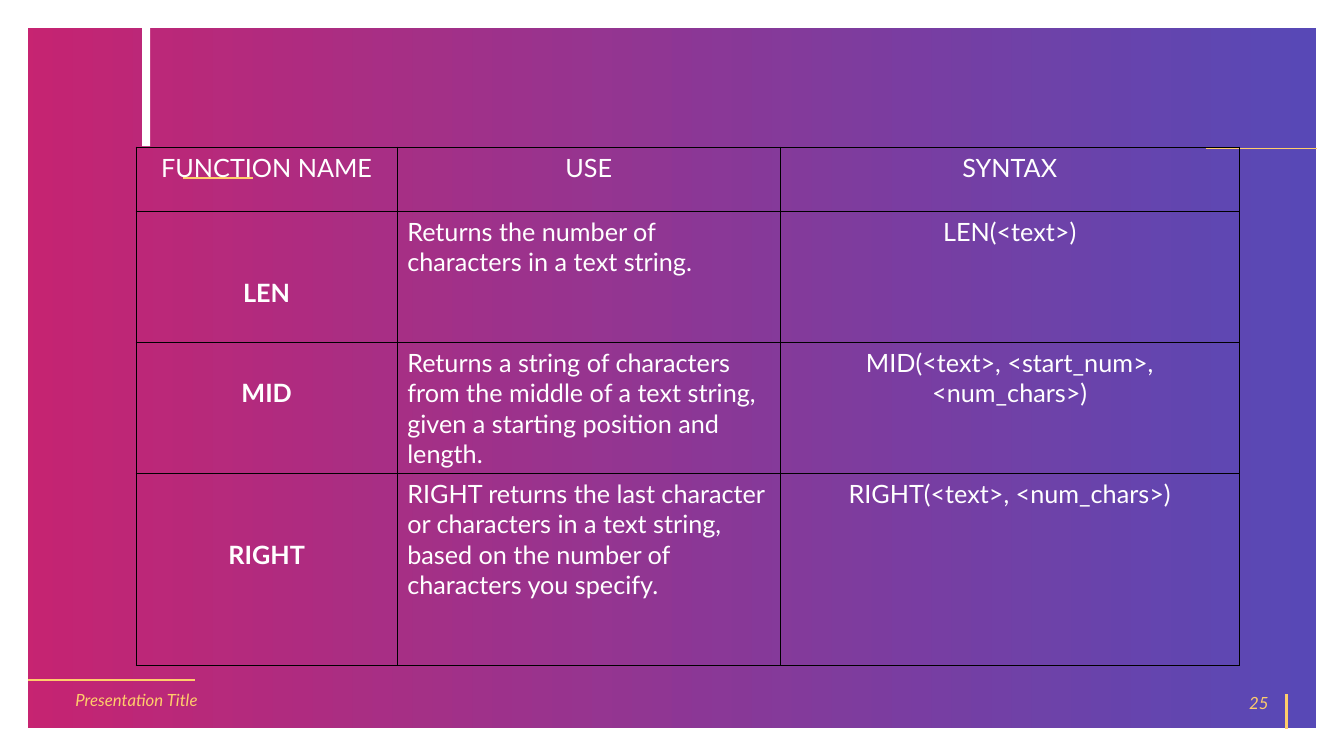
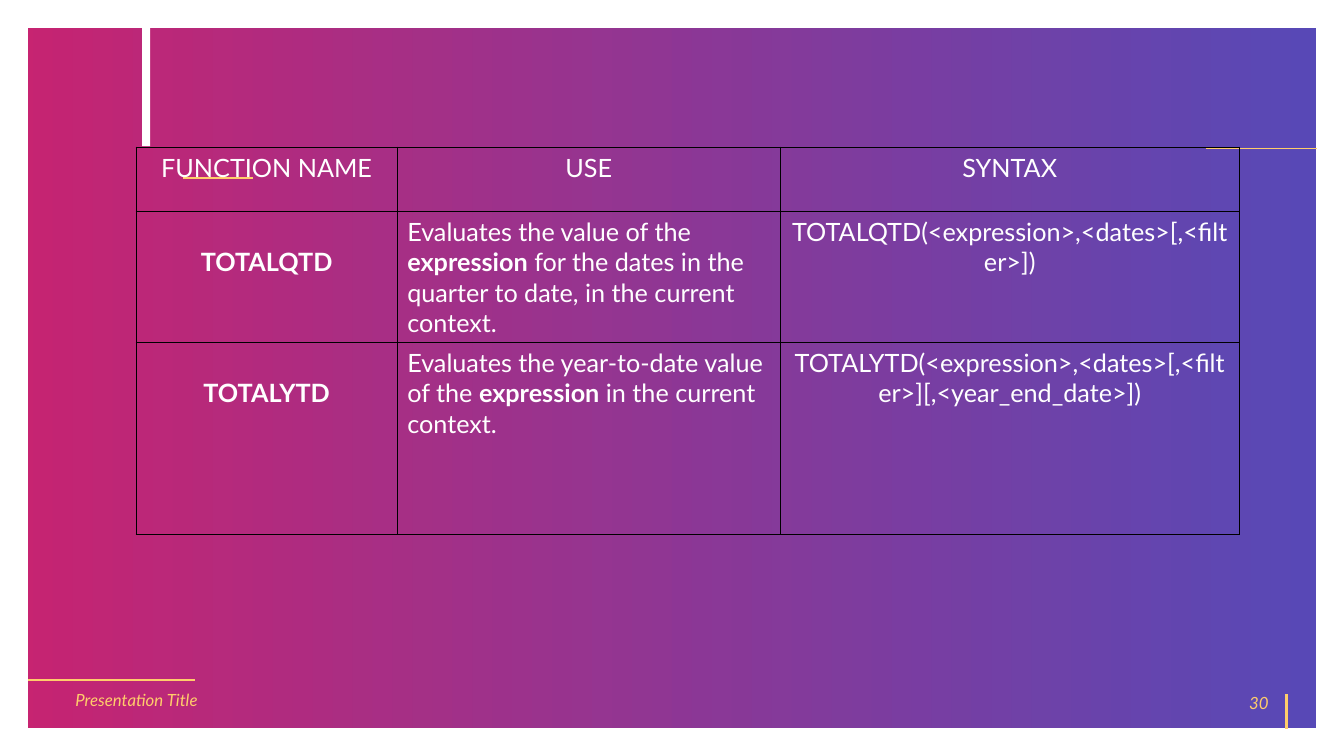
from dataclasses import dataclass
from lxml.etree import SubElement
from pptx import Presentation
from pptx.dml.color import RGBColor
from pptx.enum.shapes import MSO_CONNECTOR, MSO_SHAPE
from pptx.enum.text import MSO_ANCHOR, PP_ALIGN
from pptx.oxml import parse_xml
from pptx.oxml.ns import nsdecls, qn
from pptx.util import Inches, Pt


@dataclass(frozen=True)
class Theme:
    font: str = "Lato"
    white: str = "FFFFFF"
    black: str = "000000"
    gold: str = "FFCD6B"
    pink: str = "BE005A"
    blue: str = "3B2CAC"
    opacity: int = 85
    body: int = 18
    small: int = 12


THEME = Theme()
FOOTER = "Presentation Title"
HEADS = ("FUNCTION NAME", "USE", "SYNTAX")
# Each row: name, lines the name is dropped by, use, syntax. Stars mark bold.
SLIDES = [
    {"page": 25, "heights": (0.64, 1.3, 1.3, 1.9), "rows": [
        ("LEN", 2, "Returns the number of characters in a text string.", "LEN(<text>)"),
        ("MID", 1, "Returns a string of characters from the middle of a text string, "
                   "given a starting position and length.",
         "MID(<text>, <start_num>, <num_chars>)"),
        ("RIGHT", 2, "RIGHT returns the last character or characters in a text string, "
                     "based on the number of characters you specify.",
         "RIGHT(<text>, <num_chars>)"),
    ]},
    {"page": 30, "heights": (0.64, 1.3, 1.9), "rows": [
        ("TOTALQTD", 1, "Evaluates the value of the *expression* for the dates in "
                        "the quarter to date, in the current context.",
         "TOTALQTD(<expression>,<dates>[,<filter>])"),
        ("TOTALYTD", 1, "Evaluates the year-to-date value of the *expression* in "
                        "the current context.",
         "TOTALYTD(<expression>,<dates>[,<filter>][,<year_end_date>])"),
    ]},
]
COLS = (2.59, 3.8, 4.55)
LEFT, TOP = 1.35, 1.46
PAD, LINE = 0.05, 0.3
# Start x, start y, end x, end y, weight
RULES = [
    (1.82, 1.77, 2.51, 1.77, 1.5),
    (11.96, 1.47, 13.06, 1.47, 0.5),
    (12.76, 7.23, 12.76, 6.89, 1.5),
    (0.28, 6.75, 1.93, 6.75, 1.5),
]


def rgb(code):
    return RGBColor.from_string(code)


def write(frame, text, size=THEME.body, color=THEME.white, align=PP_ALIGN.LEFT,
          bold=False, italic=False):
    """Fill a frame with one paragraph; parts between stars turn bold."""
    frame.word_wrap = True
    para = frame.paragraphs[0]
    para.alignment = align
    for i, part in enumerate(text.split("*")):
        run = para.add_run()
        run.text = part
        font = run.font
        font.name, font.size, font.color.rgb = THEME.font, Pt(size), rgb(color)
        font.bold, font.italic = bold or i % 2 == 1, italic


def rect(slide, *box):
    shape = slide.shapes.add_shape(MSO_SHAPE.RECTANGLE, *map(Inches, box))
    shape.shadow.inherit = False
    return shape


def rule(slide, x1, y1, x2, y2, weight):
    line = slide.shapes.add_connector(MSO_CONNECTOR.STRAIGHT, *map(Inches, (x1, y1, x2, y2)))
    line.line.color.rgb, line.line.width = rgb(THEME.gold), Pt(weight)
    SubElement(line.element.spPr, qn("a:effectLst"))


def label(slide, text, *box, align=PP_ALIGN.LEFT):
    frame = slide.shapes.add_textbox(*map(Inches, box)).text_frame
    frame.vertical_anchor = MSO_ANCHOR.MIDDLE
    write(frame, text, size=THEME.small, color=THEME.gold, align=align, italic=True)


def frame_page(slide, page):
    """Draw the backdrop, rules and footer that every slide shares."""
    panel = rect(slide, 0.13, 0.13, 13.07, 7.24)
    panel.fill.gradient()
    panel.fill.gradient_angle = 0
    for stop, code in zip(panel.fill.gradient_stops, (THEME.pink, THEME.blue)):
        stop.color.rgb = rgb(code)
    for color in panel.element.spPr.iter(qn("a:srgbClr")):
        SubElement(color, qn("a:alpha"), val=str(THEME.opacity * 1000))
    panel.line.color.rgb, panel.line.width = rgb(THEME.white), Pt(21.5)

    bar = rect(slide, 1.41, 0.27, 0.08, 1.18)
    bar.fill.solid()
    bar.fill.fore_color.rgb = rgb(THEME.white)
    bar.line.fill.background()

    for ends in RULES:
        rule(slide, *ends)
    label(slide, FOOTER, 0.65, 6.74, 3.05, 0.4)
    label(slide, str(page), 9.68, 6.77, 3, 0.4, align=PP_ALIGN.RIGHT)


def outline(cell):
    """Clear the cell's fill and give it a thin border on all sides."""
    cell.fill.background()
    props = cell._tc.get_or_add_tcPr()
    for i, side in enumerate(("lnL", "lnR", "lnT", "lnB")):
        props.insert(i, parse_xml(
            f'<a:{side} {nsdecls("a")} w="{Pt(1)}"><a:solidFill>'
            f'<a:srgbClr val="{THEME.black}"/></a:solidFill></a:{side}>'))


def add_grid(slide, heights, rows):
    size = (sum(COLS), sum(heights))
    table = slide.shapes.add_table(len(heights), len(COLS),
                                   *map(Inches, (LEFT, TOP, *size))).table
    table.first_row = table.horz_banding = False
    for col, width in zip(table.columns, COLS):
        col.width = Inches(width)
    for row, height in zip(table.rows, heights):
        row.height = Inches(height)
    for cell in table.iter_cells():
        outline(cell)

    for c, head in enumerate(HEADS):
        write(table.cell(0, c).text_frame, head, align=PP_ALIGN.CENTER)
    for r, (name, drop, use, syntax) in enumerate(rows, 1):
        first = table.cell(r, 0)
        first.margin_top = Inches(PAD + drop * LINE)
        write(first.text_frame, name, align=PP_ALIGN.CENTER, bold=True)
        write(table.cell(r, 1).text_frame, use)
        write(table.cell(r, 2).text_frame, syntax, align=PP_ALIGN.CENTER)


def main():
    deck = Presentation()
    deck.slide_width, deck.slide_height = Inches(13.33), Inches(7.5)
    for data in SLIDES:
        slide = deck.slides.add_slide(deck.slide_layouts[6])
        frame_page(slide, data["page"])
        add_grid(slide, data["heights"], data["rows"])
    deck.save("out.pptx")


if __name__ == "__main__":
    main()
